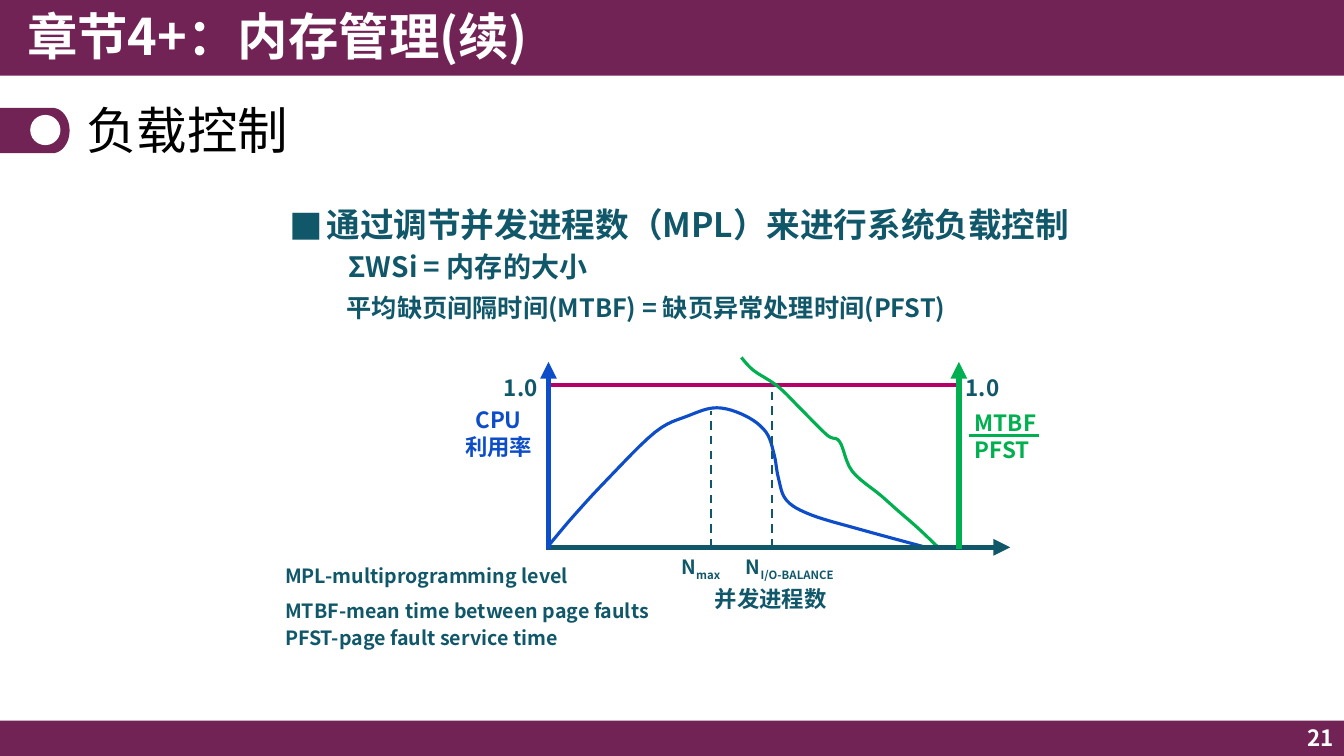
"""Builds the slide on load control in memory management."""
import math

from lxml import etree
from pptx import Presentation
from pptx.dml.color import RGBColor
from pptx.enum.dml import MSO_LINE
from pptx.enum.shapes import MSO_CONNECTOR, MSO_SHAPE
from pptx.enum.text import MSO_ANCHOR, PP_ALIGN
from pptx.oxml.ns import qn
from pptx.util import Inches, Pt

RECTANGLE, OVAL = MSO_SHAPE.RECTANGLE, MSO_SHAPE.OVAL
STRAIGHT = MSO_CONNECTOR.STRAIGHT
DASH = MSO_LINE.DASH
LEFT, CENTER, RIGHT = PP_ALIGN.LEFT, PP_ALIGN.CENTER, PP_ALIGN.RIGHT
TOP, MIDDLE = MSO_ANCHOR.TOP, MSO_ANCHOR.MIDDLE

PURPLE, TEAL, BLUE = "712355", "11576A", "0E4DC8"
GREEN, MAGENTA, WHITE, BLACK = "00B050", "B50069", "FFFFFF", "000000"

SLIDE_WIDTH, SLIDE_HEIGHT = 13.33, 7.5
CPU_AXIS_X, RATIO_AXIS_X = 5.44, 9.51
AXIS_TOP, FULL_LEVEL_Y, BASELINE_Y = 3.59, 3.82, 5.43
THIN, MEDIUM, THICK = 1.5, 2.25, 4

CPU_RISE = [(0, 0.01), (0.06, 0.19), (0.14, 0.41), (0.26, 0.71), (0.34, 0.81)]
CPU_PEAK = [(0.41, 0.86), (0.48, 0.81), (0.53, 0.71)]
CPU_THRASHING = [(0.55, 0.57), (0.56, 0.43), (0.58, 0.29), (0.64, 0.2),
                 (0.76, 0.11), (0.92, 0)]
FAULT_RATIO = [(0.47, 1.17), (0.5, 1.09), (0.56, 0.99), (0.62, 0.84),
               (0.68, 0.69), (0.71, 0.65), (0.74, 0.47), (0.81, 0.32),
               (0.85, 0.23), (0.9, 0.12), (0.95, 0)]


def color(value):
    return RGBColor.from_string(value)


def plot_position(load, level):
    x = CPU_AXIS_X + load * (RATIO_AXIS_X - CPU_AXIS_X)
    y = BASELINE_Y - level * (BASELINE_Y - FULL_LEVEL_Y)
    return x, y


def spline_value(before, start, end, after, t):
    return (start + (end - before) * t / 2
            + (2 * before - 5 * start + 4 * end - after) * t ** 2 / 2
            + (3 * start - before - 3 * end + after) * t ** 3 / 2)


def smooth_curve(knots, steps=6):
    padded = [knots[0], *knots, knots[-1]]
    points = [tuple(spline_value(*values, step / steps) for values in zip(*window))
              for window in zip(padded, padded[1:], padded[2:], padded[3:])
              for step in range(steps)]
    return points + [knots[-1]]


def arc(center_x, center_y, radius_x, radius_y, steps=24):
    angles = [math.pi * (step / steps - 0.5) for step in range(steps + 1)]
    return [(center_x + radius_x * math.cos(angle), center_y + radius_y * math.sin(angle))
            for angle in angles]


class SlideBuilder:
    def __init__(self, slide, font="Noto Sans CJK SC"):
        self.slide = slide
        self.font = font

    def block(self, kind, left, top, width, height, fill):
        shape = self.slide.shapes.add_shape(
            kind, Inches(left), Inches(top), Inches(width), Inches(height))
        self.paint(shape, fill)

    def paint(self, shape, fill=None, stroke=None):
        shape.shadow.inherit = False
        if fill:
            shape.fill.solid()
            shape.fill.fore_color.rgb = color(fill)
        else:
            shape.fill.background()
        if stroke:
            shape.line.color.rgb = color(stroke)
            shape.line.width = Pt(MEDIUM)
        else:
            shape.line.fill.background()

    def outline(self, points, fill=None, stroke=None, close=False):
        corners = [(Inches(x), Inches(y)) for x, y in points]
        freeform = self.slide.shapes.build_freeform(*corners[0])
        freeform.add_line_segments(corners[1:], close=close)
        self.paint(freeform.convert_to_shape(), fill, stroke)

    def curve(self, knots, stroke):
        points = [plot_position(load, level) for load, level in smooth_curve(knots)]
        self.outline(points, stroke=stroke)

    def line(self, start, end, stroke, width, dash=None, arrow=False):
        connector = self.slide.shapes.add_connector(
            STRAIGHT, *(Inches(value) for value in start + end))
        connector.line.color.rgb = color(stroke)
        connector.line.width = Pt(width)
        if dash:
            connector.line.dash_style = dash
        properties = connector._element.spPr
        if arrow:
            tail = etree.SubElement(properties.find(qn("a:ln")), qn("a:tailEnd"))
            tail.set("type", "triangle")
        etree.SubElement(properties, qn("a:effectLst"))

    def style_run(self, run, size, fill, bold, font):
        run.font.name = font
        run.font.size = Pt(size)
        run.font.bold = bold
        run.font.color.rgb = color(fill)
        east_asian = etree.Element(qn("a:ea"), typeface=font)
        run.font._element.find(qn("a:latin")).addnext(east_asian)

    def text(self, box, content, size, fill=TEAL, bold=True, align=LEFT,
             anchor=TOP, wrap=True, spacing=None, gap=0, subscript=None, font=None):
        shape = self.slide.shapes.add_textbox(*(Inches(value) for value in box))
        frame = shape.text_frame
        frame.text = content
        frame.word_wrap = wrap
        frame.vertical_anchor = anchor
        if subscript:
            run = frame.paragraphs[0].add_run()
            run.text = subscript
            run.font._element.set("baseline", "-25000")
        for index, paragraph in enumerate(frame.paragraphs):
            paragraph.alignment = align
            if spacing:
                paragraph.line_spacing = spacing
            if index and gap:
                paragraph.space_before = Pt(gap)
            for run in paragraph.runs:
                self.style_run(run, size, fill, bold, font or self.font)


def draw_frame(builder):
    for top, height in ((0, 0.75), (7.15, 0.35)):
        builder.block(RECTANGLE, 0, top, SLIDE_WIDTH, height, PURPLE)
    tab = [(0, 1.07), *arc(0.52, 1.295, 0.17, 0.225), (0, 1.52)]
    builder.outline(tab, fill=PURPLE, close=True)
    builder.block(OVAL, 0.3, 1.14, 0.3, 0.3, WHITE)
    builder.text((0.17, 0, 6.67, 0.77), "章节4+：内存管理(续)", 36, WHITE)
    builder.text((0.76, 0.95, 11.81, 0.74), "负载控制", 36, BLACK, bold=False,
                 anchor=MIDDLE, spacing=0.9)
    builder.text((10.33, 7.14, 3, 0.36), "21", 16, WHITE, align=RIGHT, anchor=MIDDLE)


def draw_statements(builder):
    builder.text((2.77, 1.99, 0.47, 0.5), "■", 24, font="Noto Sans CJK JP")
    builder.text((3.14, 1.97, 8.65, 0.5),
                 "通过调节并发进程数（MPL）来进行系统负载控制", 24)
    builder.text((3.36, 2.46, 3.1, 0.4), "ΣWSi = 内存的大小", 20, spacing=0.9)
    builder.text((3.34, 2.88, 7.09, 0.37),
                 "平均缺页间隔时间(MTBF) = 缺页异常处理时间(PFST)", 18, spacing=0.9)


def draw_abbreviations(builder):
    builder.text((2.73, 5.55, 4.11, 0.34), "MPL-multiprogramming level", 14)
    builder.text((2.73, 5.89, 4.11, 0.62),
                 "MTBF-mean time between page faults\nPFST-page fault service time",
                 14, gap=2.8)


def draw_curves(builder):
    builder.curve(CPU_RISE + CPU_PEAK + CPU_THRASHING, BLUE)
    builder.line((CPU_AXIS_X, FULL_LEVEL_Y), (RATIO_AXIS_X, FULL_LEVEL_Y), MAGENTA, MEDIUM)
    markers = ((7.05, 4.08, 6.66, 0.65, "max"),
               (7.66, FULL_LEVEL_Y, 7.3, 1.27, "I/O-BALANCE"))
    for x, top, label_left, label_width, label in markers:
        builder.line((x, BASELINE_Y), (x, top), TEAL, THIN, dash=DASH)
        builder.text((label_left, 5.46, label_width, 0.33), "N", 14,
                     wrap=False, subscript=label)
    builder.curve(FAULT_RATIO, GREEN)


def draw_axes(builder):
    builder.line((CPU_AXIS_X - 0.02, BASELINE_Y), (10.02, BASELINE_Y), TEAL, THICK, arrow=True)
    for x, stroke, label_left in ((CPU_AXIS_X, BLUE, 4.9), (RATIO_AXIS_X, GREEN, 9.48)):
        builder.line((x, BASELINE_Y + 0.02), (x, AXIS_TOP), stroke, THICK, arrow=True)
        builder.text((label_left, 3.66, 0.54, 0.37), "1.0", 16, wrap=False)
    builder.text((4.51, 3.98, 0.87, 0.64), "CPU\n利用率", 16, BLUE,
                 align=CENTER, wrap=False)
    builder.text((6.99, 5.81, 1.31, 0.32), "并发进程数", 16,
                 align=CENTER, wrap=False, spacing=0.8)
    builder.text((9.57, 4.01, 0.85, 0.64), "MTBF\nPFST", 16, GREEN, wrap=False)
    builder.line((9.61, 4.32), (10.31, 4.32), GREEN, MEDIUM)


def main():
    presentation = Presentation()
    presentation.slide_width = Inches(SLIDE_WIDTH)
    presentation.slide_height = Inches(SLIDE_HEIGHT)
    builder = SlideBuilder(presentation.slides.add_slide(presentation.slide_layouts[6]))
    for draw in (draw_frame, draw_statements, draw_curves, draw_axes, draw_abbreviations):
        draw(builder)
    presentation.save("out.pptx")


if __name__ == "__main__":
    main()
